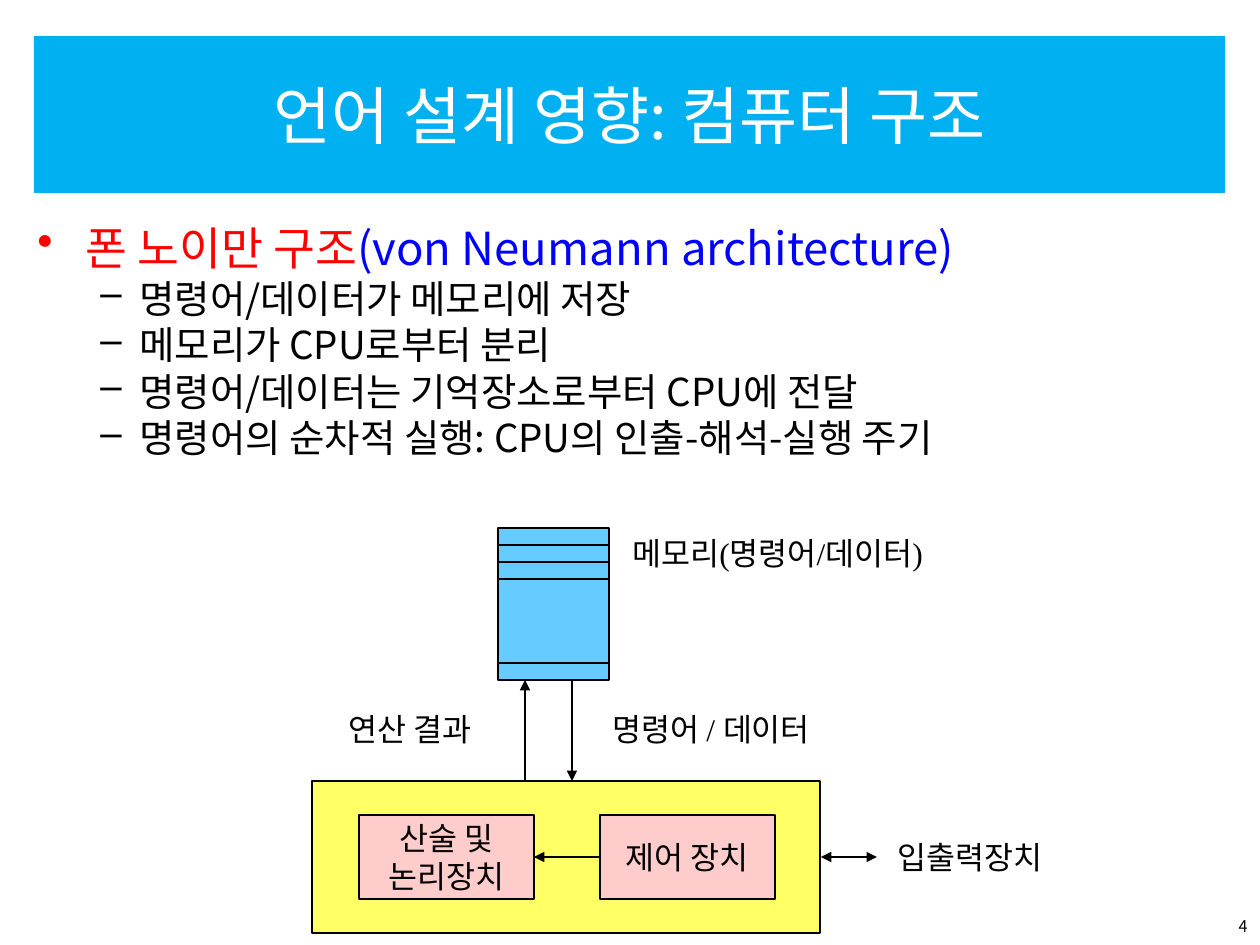
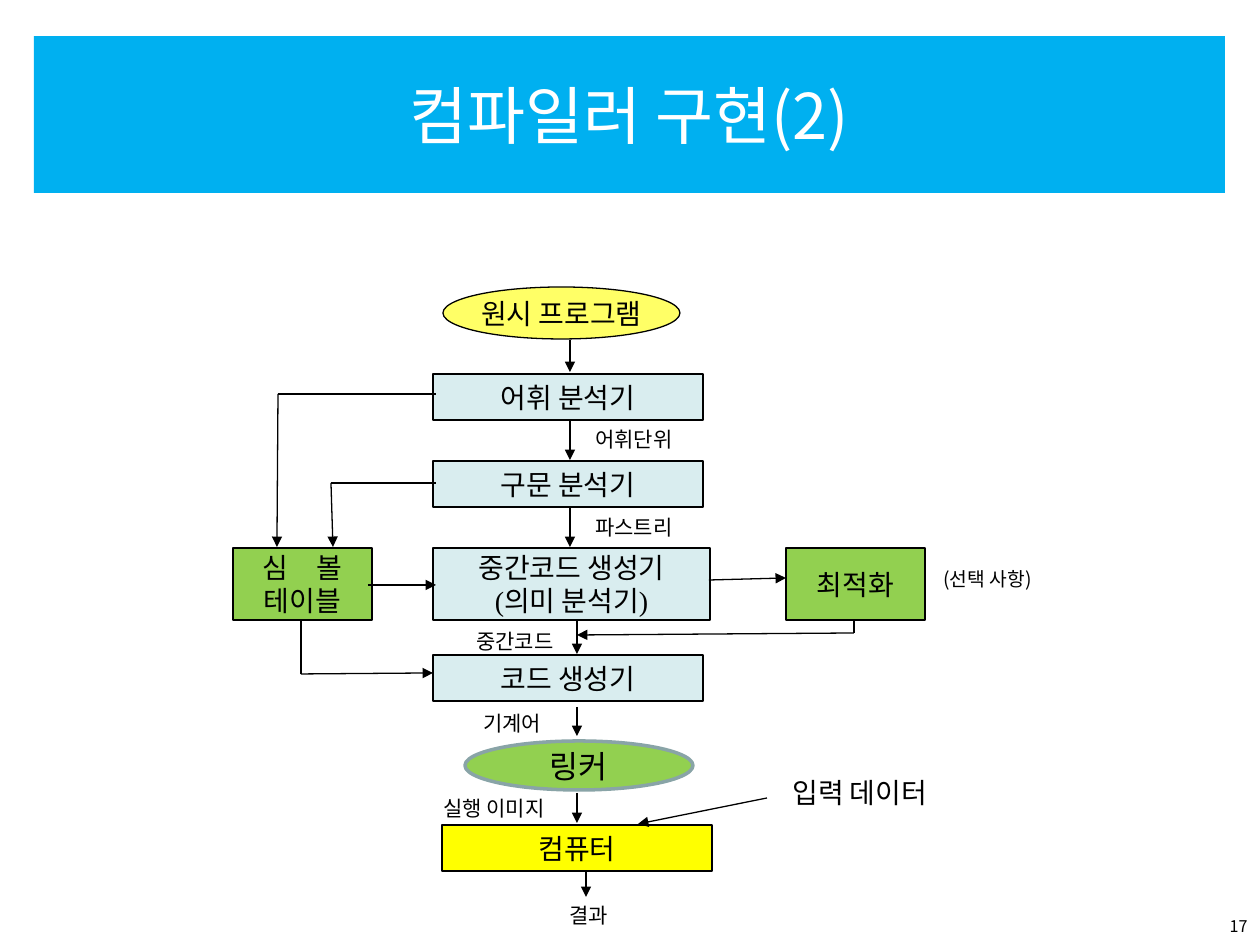
from dataclasses import dataclass
from itertools import pairwise

from lxml.etree import SubElement
from pptx import Presentation
from pptx.dml.color import RGBColor
from pptx.enum.shapes import MSO_CONNECTOR, MSO_SHAPE
from pptx.enum.text import MSO_ANCHOR as Anchor, MSO_AUTO_SIZE as AutoSize, PP_ALIGN as Align
from pptx.oxml.ns import qn
from pptx.slide import Slide
from pptx.util import Emu, Pt

SANS, SERIF = "Noto Sans CJK KR", "Times New Roman"
BLACK, WHITE, RED, BLUE = "000000", "FFFFFF", "FF0000", "0000FF"
BAND, SKY, CREAM, PINK = "00B0F0", "66CCFF", "FFFF66", "FFCCCC"
PALE, GREEN, YELLOW, GREY = "D9EDEF", "92D050", "FFFF00", "89A4A7"


def px(length):
    return Emu(round(length * 914400 / 126))


def color(hex_text):
    return RGBColor.from_string(hex_text)


def style(para, size, font=SANS, ink=BLACK, align=Align.LEFT):
    para.alignment = align
    para.font.size = Pt(size)
    para.font.name = font
    para.font.color.rgb = color(ink)
    defaults = para._p.pPr.find(qn("a:defRPr"))
    SubElement(defaults, qn("a:ea"), typeface=SANS)


def write(frame, text, size, font=SANS, ink=BLACK, align=Align.LEFT):
    """Fill a text frame, one paragraph for each line of text."""
    for number, line in enumerate(text.split("\n")):
        para = frame.add_paragraph() if number else frame.paragraphs[0]
        para.add_run().text = line
        style(para, size, font, ink, align)


@dataclass
class Region:
    """A part of a page; everything in it is placed from its top left corner."""
    page: Slide
    left: int
    top: int

    def frame(self, x, y, width, height):
        return px(self.left + x), px(self.top + y), px(width), px(height)

    def block(self, box, fill, text="", size=16, font=SERIF, kind=MSO_SHAPE.RECTANGLE,
              edge=BLACK, weight=0.75):
        shape = self.page.shapes.add_shape(kind, *self.frame(*box))
        shape.shadow.inherit = False
        shape.fill.solid()
        shape.fill.fore_color.rgb = color(fill)
        shape.line.color.rgb = color(edge)
        shape.line.width = Pt(weight)
        if text:
            shape.text_frame.word_wrap = False
            shape.text_frame.vertical_anchor = Anchor.MIDDLE
            write(shape.text_frame, text, size, font, align=Align.CENTER)

    def label(self, box, text, size=12, font=SANS, align=Align.LEFT):
        frame = self.page.shapes.add_textbox(*self.frame(*box)).text_frame
        frame.word_wrap = True
        write(frame, text, size, font, align=align)

    def line(self, start, end, *arrow_ends):
        """Draw a line; arrow_ends may name "headEnd" (start) and "tailEnd" (end)."""
        (x1, y1), (x2, y2) = start, end
        line = self.page.shapes.add_connector(
            MSO_CONNECTOR.STRAIGHT, px(self.left + x1), px(self.top + y1),
            px(self.left + x2), px(self.top + y2))
        line.line.color.rgb = color(BLACK)
        line.line.width = Pt(0.75)
        properties = line._element.spPr
        for arrow_end in arrow_ends:
            SubElement(properties.find(qn("a:ln")), qn(f"a:{arrow_end}"), type="triangle")
        SubElement(properties, qn("a:effectLst"))

    def route(self, *points):
        """Join the points with lines and put an arrowhead on the last one."""
        *first_legs, last_leg = pairwise(points)
        for leg in first_legs:
            self.line(*leg)
        self.line(*last_leg, "tailEnd")


def add_page(deck, title_text, number):
    page = deck.slides.add_slide(deck.slide_layouts[5])
    whole = Region(page, 0, 0)
    title = page.shapes.title
    title.left, title.top, title.width, title.height = whole.frame(34, 36, 1191, 157)
    title.fill.solid()
    title.fill.fore_color.rgb = color(BAND)
    title.text_frame.auto_size = AutoSize.NONE
    title.text_frame.vertical_anchor = Anchor.MIDDLE
    write(title.text_frame, title_text, 36, ink=WHITE, align=Align.CENTER)
    whole.label((966, 910, 294, 35), number, 9.2, align=Align.RIGHT)
    return page


def add_bullet(para, mark, ink, margin, hanging):
    properties = para._p.get_or_add_pPr()
    properties.set("marL", str(px(margin)))
    properties.set("indent", str(-px(hanging)))
    SubElement(SubElement(properties, qn("a:buClr")), qn("a:srgbClr"), val=ink)
    SubElement(properties, qn("a:buChar"), char=mark)


def architecture_points(region):
    frame = region.page.shapes.add_textbox(*region.frame(0, 0, 1191, 258)).text_frame
    frame.word_wrap = True
    heading = frame.paragraphs[0]
    add_bullet(heading, "•", RED, 48, 48)
    heading.line_spacing = 0.8
    style(heading, 26, ink=RED)
    heading.add_run().text = "폰 노이만 구조"
    english = heading.add_run()
    english.text = "(von Neumann architecture)"
    english.font.color.rgb = color(BLUE)
    for point in ("명령어/데이터가 메모리에 저장",
                  "메모리가 CPU로부터 분리",
                  "명령어/데이터는 기억장소로부터 CPU에 전달",
                  "명령어의 순차적 실행: CPU의 인출-해석-실행 주기"):
        para = frame.add_paragraph()
        para.level = 1
        add_bullet(para, "–", BLACK, 102, 39)
        para.line_spacing = 0.8
        para.space_before = Pt(5.5)
        para.add_run().text = point
        style(para, 22)


def von_neumann_diagram(region):
    memory_left, memory_width, memory_height, cell = 186, 111, 152, 17
    cpu_top, unit_middle = 253, 329
    region.block((0, cpu_top, 508, 152), CREAM)
    region.block((memory_left, 0, memory_width, memory_height), SKY)
    for left, text in ((47, "산술 및\n논리장치"), (288, "제어 장치")):
        region.block((left, 287, 175, 84), PINK, text, 18)
    for y in (cell, 2 * cell, 3 * cell, memory_height - cell):
        region.line((memory_left, y), (memory_left + memory_width, y))

    region.line((213, cpu_top), (213, memory_height), "tailEnd")
    region.line((260, memory_height), (260, cpu_top), "tailEnd")
    region.line((288, unit_middle), (222, unit_middle), "tailEnd")
    region.line((509, unit_middle), (565, unit_middle), "headEnd", "tailEnd")

    region.label((288, 176, 260, 50), "명령어 / 데이터", 18, SERIF)
    region.label((308, 0, 380, 50), "메모리(명령어/데이터)", 18, SERIF)
    region.label((24, 176, 170, 50), "연산 결과", 18, SERIF)
    region.label((573, 304, 190, 50), "입출력장치", 18)


def compiler_flow(region):
    stage_left, stage_width, stage_height = 200, 270, 46
    side_top, side_width, side_height = 261, 139, 72

    region.block((210, 0, 237, 52), CREAM, "원시 프로그램", kind=MSO_SHAPE.OVAL)
    for top, text in ((87, "어휘 분석기"), (174, "구문 분석기"), (368, "코드 생성기")):
        region.block((stage_left, top, stage_width, stage_height), PALE, text)
    region.block((stage_left, side_top, 277, side_height), PALE,
                 "중간코드 생성기\n(의미 분석기)")
    region.block((209, 538, stage_width, stage_height), YELLOW, "컴퓨터")
    for left, text in ((553, "최적화"), (0, "심　볼\n테이블")):
        region.block((left, side_top, side_width, side_height), GREEN, text)
    region.block((232, 454, 228, 49), GREEN, "링커", 18, SANS, MSO_SHAPE.OVAL, GREY, 2)

    for x, start, end in ((337, 53, 85), (337, 134, 173), (337, 221, 260), (344, 334, 367),
                          (344, 420, 449), (344, 506, 536), (353, 585, 610)):
        region.route((x, start), (x, end))
    region.route((135, 298), (203, 298))
    region.route((476, 293), (553, 291))
    region.route((621, 333), (621, 346), (344, 348))
    region.route((68, 334), (68, 387), (200, 386))
    region.route((203, 107), (45, 107), (44, 260))
    region.route((203, 196), (98, 196), (100, 260))
    region.route((534, 511), (405, 537))

    for left, top, text in ((350, 133, "어휘단위"), (350, 221, "파스트리"),
                            (231, 335, "중간코드"), (238, 417, "기계어"),
                            (198, 502, "실행 이미지"), (324, 609, "결과")):
        region.label((left, top, 145, 38), text)
    region.label((547, 482, 185, 47), "입력 데이터", 16, SERIF)
    region.label((698, 274, 122, 37), "(선택 사항)", 11)


def main():
    deck = Presentation()
    deck.slide_width, deck.slide_height = px(1260), px(945)

    page = add_page(deck, "언어 설계 영향: 컴퓨터 구조", "4")
    architecture_points(Region(page, 25, 224))
    von_neumann_diagram(Region(page, 312, 528))

    page = add_page(deck, "컴파일러 구현(2)", "17")
    compiler_flow(Region(page, 233, 287))

    deck.save("out.pptx")


if __name__ == "__main__":
    main()
